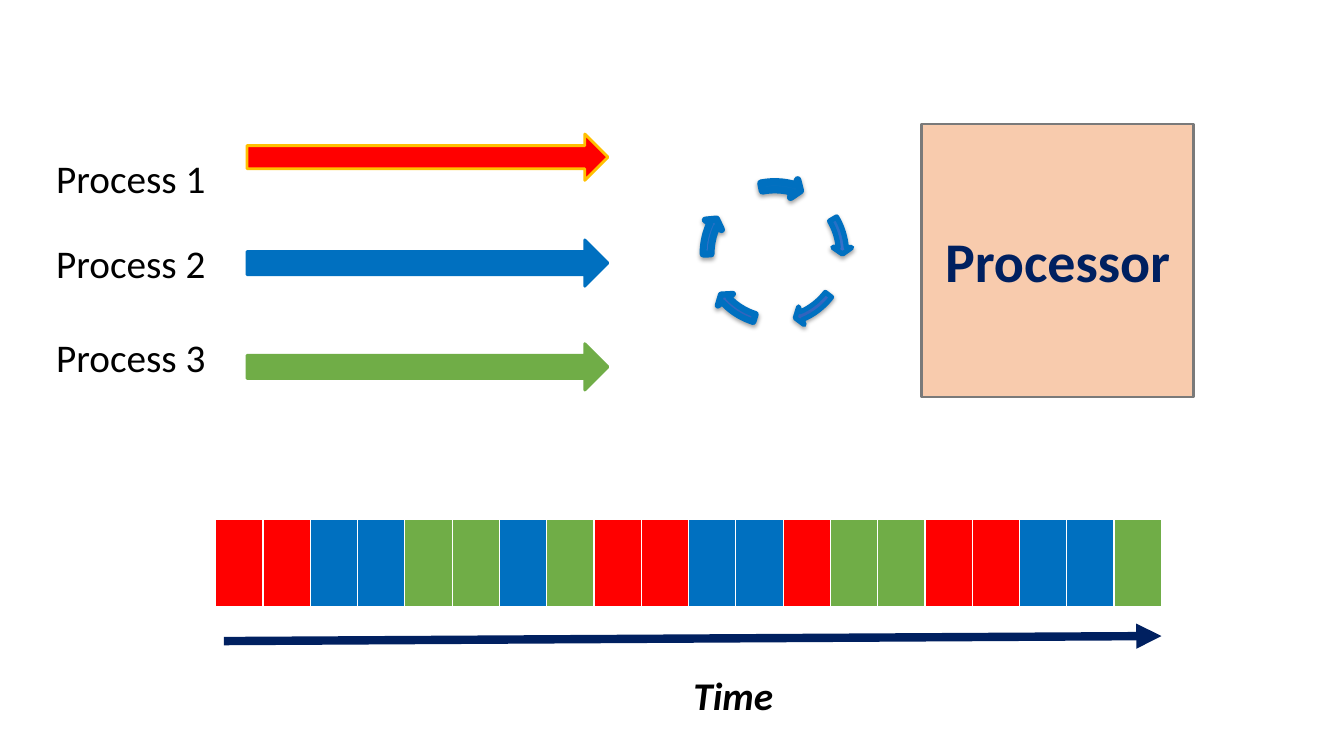
from copy import deepcopy
from dataclasses import dataclass

from lxml import etree
from pptx import Presentation
from pptx.dml.color import RGBColor
from pptx.enum.shapes import MSO_CONNECTOR, MSO_SHAPE
from pptx.enum.text import MSO_ANCHOR, PP_ALIGN
from pptx.oxml.ns import qn
from pptx.util import Emu, Inches, Pt

RIGHT_ARROW = MSO_SHAPE.RIGHT_ARROW
CIRCULAR_ARROW = MSO_SHAPE.CIRCULAR_ARROW
RECTANGLE = MSO_SHAPE.RECTANGLE
STRAIGHT = MSO_CONNECTOR.STRAIGHT
MIDDLE = MSO_ANCHOR.MIDDLE
CENTER = PP_ALIGN.CENTER
BLANK_LAYOUT = 6


@dataclass(frozen=True)
class Theme:
    font: str = "Calibri"
    label_size: int = 28
    processor_size: int = 40
    outline: int = 2
    red: str = "FF0000"
    amber: str = "FFC000"
    blue: str = "0070C0"
    mid_blue: str = "3E70CA"
    deep_blue: str = "3062BB"
    green: str = "70AD47"
    peach: str = "F8CBAD"
    grey: str = "7A7A7A"
    navy: str = "002060"
    black: str = "000000"
    white: str = "FFFFFF"


THEME = Theme()

# name, label top, arrow top, fill, outline; tops are within the processes box
PROCESSES = [
    ("Process 1", 0.15, 0, THEME.red, THEME.amber),
    ("Process 2", 1, 1.05, THEME.blue, THEME.blue),
    ("Process 3", 1.93, 2.08, THEME.green, THEME.green),
]
# start and end angle in degrees, outline in points, rotation, middle gradient stop
CYCLE = [
    (329.4, 354.9, 3.75, 0, 0.5),
    (37.5, 66.9, 3.5, 0, 0.5),
    (107.5, 136.9, 4.5, 0, 0.5),
    (179.5, 205, 5, 0, 0.5),
    (253.3, 281.1, 5.25, 5.5, 1),
]
TIME_SLOTS = "RRBBGGBGRRBBRGGRRBBG"
SLOT_COLOURS = {"R": THEME.red, "B": THEME.blue, "G": THEME.green}


@dataclass(frozen=True)
class Box:
    """Left, top, width and height in inches."""
    left: float
    top: float
    width: float
    height: float

    def lengths(self):
        return [Inches(v) for v in (self.left, self.top, self.width, self.height)]


def rgb(colour):
    return RGBColor.from_string(colour)


def add_element(parent, tag, **attributes):
    element = etree.SubElement(parent, qn(tag))
    for key, value in attributes.items():
        element.set(key, str(value))
    return element


def add_outlined(shapes, kind, box, line, width):
    shape = shapes.add_shape(kind, *box.lengths())
    shape.shadow.inherit = False
    shape.line.color.rgb = rgb(line)
    shape.line.width = Pt(width)
    return shape


def write(frame, text, size, colour, bold=False, italic=False):
    frame.word_wrap = True
    frame.text = text
    font = frame.paragraphs[0].runs[0].font
    font.name, font.size = THEME.font, Pt(size)
    font.bold, font.italic = bold, italic
    font.color.rgb = rgb(colour)


def add_label(slide, box, text, **style):
    label = slide.shapes.add_textbox(*box.lengths())
    write(label.text_frame, text, THEME.label_size, THEME.black, **style)


def add_processes(slide, box):
    for name, label_top, arrow_top, fill, line in PROCESSES:
        arrow_box = Box(box.left + 1.99, box.top + arrow_top, box.width - 1.99, 0.46)
        arrow = add_outlined(slide.shapes, RIGHT_ARROW, arrow_box, line, THEME.outline)
        arrow.fill.solid()
        arrow.fill.fore_color.rgb = rgb(fill)
        add_label(slide, Box(box.left, box.top + label_top, 2.16, 0.57), name)


def shade_blue(shape, middle):
    """Fill with three blues from top to bottom."""
    shape.fill.gradient()
    shape.fill.gradient_angle = 270
    first = shape._element.spPr.find(qn("a:gradFill")).find(qn("a:gsLst"))[0]
    first.addnext(deepcopy(first))
    blues = (THEME.blue, THEME.mid_blue, THEME.deep_blue)
    for stop, position, colour in zip(shape.fill.gradient_stops, (0, middle, 1), blues):
        stop.position = position
        stop.color.rgb = rgb(colour)


def add_drop_shadow(shape):
    effects = shape._element.spPr.find(qn("a:effectLst"))
    shadow = add_element(effects, "a:outerShdw", blurRad=Pt(3.1), dist=Pt(1.8),
                         dir=90 * 60000, algn="ctr", rotWithShape=0)
    colour = add_element(shadow, "a:srgbClr", val=THEME.black)
    add_element(colour, "a:alpha", val=35000)


def add_cycle(slide, box):
    cycle = slide.shapes.add_group_shape()
    for start, end, width, rotation, middle in CYCLE:
        arrow = add_outlined(cycle.shapes, CIRCULAR_ARROW, box, THEME.blue, width)
        # Angles are stored in 60000ths of a degree, adjustments in 100000ths
        values = (0.052, 5.6 * 0.6, end * 0.6, start * 0.6, 0.061)
        for index, value in enumerate(values):
            arrow.adjustments[index] = value
        arrow.rotation = rotation
        shade_blue(arrow, middle)
        add_drop_shadow(arrow)


def add_processor(slide, box):
    processor = add_outlined(slide.shapes, RECTANGLE, box, THEME.grey, THEME.outline)
    processor.fill.solid()
    processor.fill.fore_color.rgb = rgb(THEME.peach)
    write(processor.text_frame, "Processor", THEME.processor_size, THEME.navy, bold=True)
    processor.text_frame.vertical_anchor = MIDDLE
    processor.text_frame.paragraphs[0].alignment = CENTER


def add_cell_borders(cell):
    properties = cell._tc.get_or_add_tcPr()
    for side, width in (("L", 0.96), ("R", 0.96), ("T", 0.96), ("B", 3)):
        border = add_element(properties, f"a:ln{side}", w=Pt(width))
        fill = add_element(border, "a:solidFill")
        add_element(fill, "a:srgbClr", val=THEME.white)


def add_time_slots(slide, box):
    slots = slide.shapes.add_table(1, len(TIME_SLOTS), *box.lengths()).table
    for column, owner in zip(slots.columns, TIME_SLOTS):
        column.width = Emu(Inches(box.width) // len(TIME_SLOTS))
    for cell, owner in zip(slots.rows[0].cells, TIME_SLOTS):
        add_cell_borders(cell)
        cell.fill.solid()
        cell.fill.fore_color.rgb = rgb(SLOT_COLOURS[owner])


def add_time_axis(slide, box):
    axis = slide.shapes.add_connector(
        STRAIGHT, Inches(box.left), Inches(box.top + 0.05),
        Inches(box.left + box.width), Inches(box.top))
    axis.line.color.rgb = rgb(THEME.navy)
    axis.line.width = Pt(6)
    add_element(axis.line._get_or_add_ln(), "a:tailEnd", type="triangle")
    add_element(axis._element.spPr, "a:effectLst")
    add_label(slide, Box(box.left + 4.56, box.top + 0.3, 1.44, 0.57), "Time",
              bold=True, italic=True)


def main():
    deck = Presentation()
    deck.slide_width, deck.slide_height = Inches(13.33), Inches(7.5)
    slide = deck.slides.add_slide(deck.slide_layouts[BLANK_LAYOUT])
    add_processes(slide, Box(0.46, 1.33, 5.57, 2.54))
    add_processor(slide, Box(9.14, 1.23, 2.7, 2.71))
    add_time_slots(slide, Box(2.14, 5.15, 9.38, 0.88))
    add_time_axis(slide, Box(2.22, 6.31, 9.3, 0.87))
    add_cycle(slide, Box(6.92, 1.75, 1.53, 1.53))
    deck.save("out.pptx")


if __name__ == "__main__":
    main()
